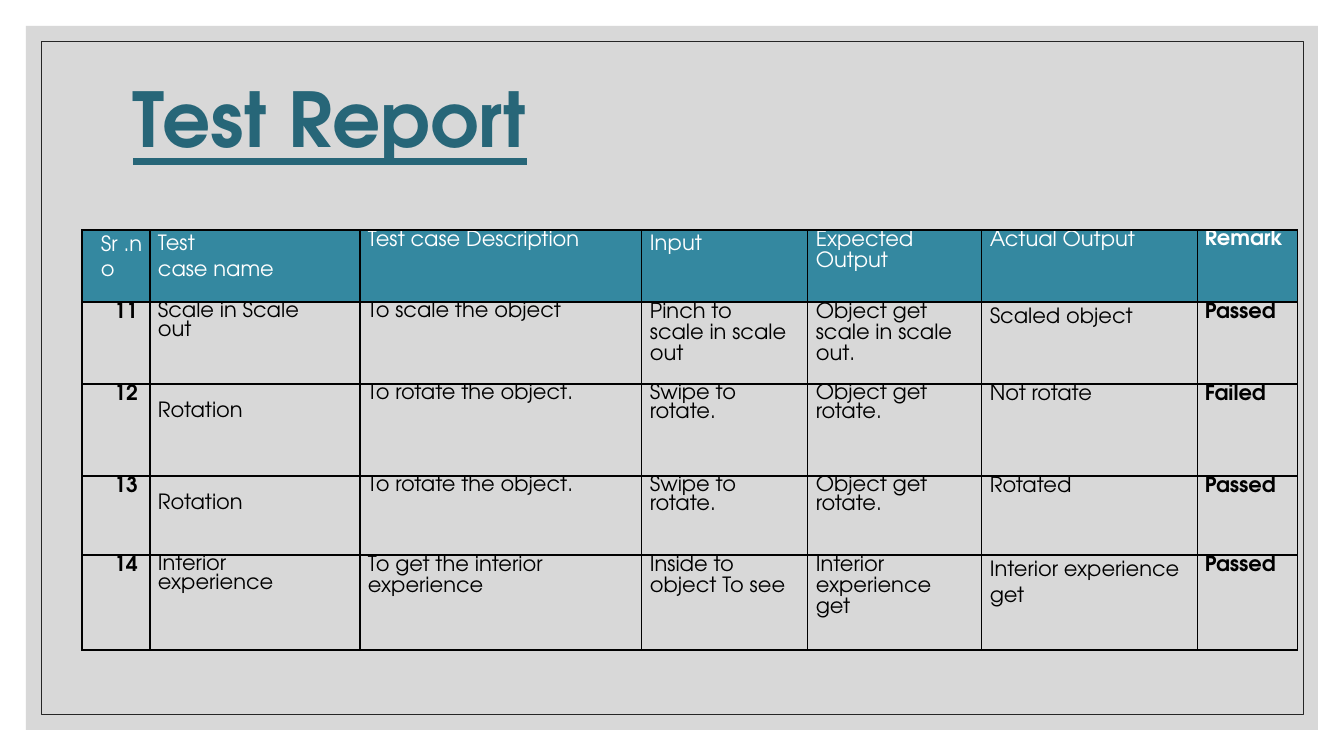
from lxml import etree
from pptx import Presentation
from pptx.dml.color import RGBColor
from pptx.enum.shapes import MSO_SHAPE
from pptx.enum.text import MSO_ANCHOR, PP_ALIGN
from pptx.oxml.ns import qn
from pptx.util import Pt

TITLE = "Test Report"
HEADERS = ["Sr .no", "Test\ncase name", "Test case Description", "Input",
           "Expected Output", "Actual Output", "Remark"]
TEST_CASES = [
    ["11", "Scale in Scale out", "To scale the object", "Pinch to scale in scale out",
     "Object get scale in scale out.", "Scaled object", "Passed"],
    ["12", "Rotation", "To rotate the object.", "Swipe to rotate.",
     "Object get rotate.", "Not rotate", "Failed"],
    ["13", "Rotation", "To rotate the object.", "Swipe to rotate.",
     "Object get rotate.", "Rotated", "Passed"],
    ["14", "Interior experience", "To get the interior experience",
     "Inside to object To see", "Interior experience get",
     "Interior experience get", "Passed"],
]
LINE_SPACINGS = [
    [Pt(18.1), Pt(17.6), 1.07, Pt(17.6), 1.07, 1.07, 0.97],
    [1.07, 0.98, 0.98, 1.07, 1.07, 1.33, 1.07],
    [1.07, Pt(13.4), 1.0, 1.0, 1.0, 1.07, 1.07],
    [1.07, Pt(13.4), 0.98, 0.98, 0.98, 1.07, 1.07],
    [1.07, 1.0, 1.07, 1.07, 1.07, 1.33, 1.07],
]
COLUMN_WIDTHS = [68, 210, 282, 166, 174, 216, 100]
ROW_HEIGHTS = [72, 82, 92, 79, 95]
LEFT_MARGINS = [19, 8, 8, 8, 8, 8, 7]
RIGHT_MARGINS = [12, 30, 0, 20, 20, 0, 0]
NUMBER_COLUMN, NAME_COLUMN, REMARK_COLUMN = 0, 1, 6
LOWERED_NAME = "Rotation"
LOWERED_MARGIN = 19

FONT = "TeX Gyre Adventor"
WHITE = RGBColor(0xFF, 0xFF, 0xFF)
BLACK = RGBColor(0x00, 0x00, 0x00)
PANEL_GREY = RGBColor(0xBF, 0xBF, 0xBF)
FRAME_GREY = RGBColor(0x26, 0x26, 0x26)
TITLE_TEAL = RGBColor(0x27, 0x66, 0x78)
HEADER_TEAL = RGBColor(0x34, 0x88, 0xA0)

RECTANGLE = MSO_SHAPE.RECTANGLE
MIDDLE, TOP = MSO_ANCHOR.MIDDLE, MSO_ANCHOR.TOP
LEFT, RIGHT = PP_ALIGN.LEFT, PP_ALIGN.RIGHT
PX = 914400 / 100.8


def px(length):
    return round(length * PX)


def write_text(text_frame, text, *, size, color, bold=False, underline=False,
               spacing=1.0, align=LEFT, space_before=0):
    """Write one paragraph per line; space_before applies from the second on."""
    text_frame.word_wrap = True
    for index, line in enumerate(text.split("\n")):
        paragraph = text_frame.add_paragraph() if index else text_frame.paragraphs[0]
        paragraph.alignment = align
        paragraph.line_spacing = spacing
        if index:
            paragraph.space_before = Pt(space_before)
        run = paragraph.add_run()
        run.text = line
        run.font.name = FONT
        run.font.size = Pt(size)
        run.font.bold = bold
        run.font.underline = underline
        run.font.color.rgb = color


def add_rectangle(slide, left, top, width, height):
    shape = slide.shapes.add_shape(RECTANGLE, px(left), px(top), px(width), px(height))
    shape.shadow.inherit = False
    return shape


def add_background(slide):
    panel = add_rectangle(slide, 26, 26, 1292, 704)
    panel.fill.solid()
    panel.fill.fore_color.rgb = PANEL_GREY
    color = panel.fill._xPr.find(qn("a:solidFill"))[0]
    etree.SubElement(color, qn("a:alpha")).set("val", "60000")
    panel.line.fill.background()

    frame = add_rectangle(slide, 41, 41, 1262, 673)
    frame.fill.background()
    frame.line.color.rgb = FRAME_GREY
    frame.line.width = Pt(0.5)


def add_borders(cell):
    properties = cell._tc.get_or_add_tcPr()
    for side in ("lnL", "lnR", "lnT", "lnB"):
        line = etree.SubElement(properties, qn(f"a:{side}"), w=str(Pt(1)))
        fill = etree.SubElement(line, qn("a:solidFill"))
        etree.SubElement(fill, qn("a:srgbClr"), val=str(BLACK))


def format_cell(cell, row, column, text):
    is_header = row == 0
    is_number = column == NUMBER_COLUMN and not is_header
    is_lowered = column == NAME_COLUMN and text == LOWERED_NAME
    cell.margin_left = 0 if is_number else px(LEFT_MARGINS[column])
    cell.margin_right = 0 if is_header else px(RIGHT_MARGINS[column])
    cell.margin_top = px(LOWERED_MARGIN) if is_lowered else 0
    cell.margin_bottom = 0
    cell.vertical_anchor = TOP
    add_borders(cell)
    if is_header:
        cell.fill.solid()
        cell.fill.fore_color.rgb = HEADER_TEAL
    else:
        cell.fill.background()
    write_text(cell.text_frame, text, size=15,
               color=WHITE if is_header else BLACK,
               bold=is_number or column == REMARK_COLUMN,
               spacing=LINE_SPACINGS[row][column],
               align=RIGHT if is_number else LEFT, space_before=0.6)


def add_report_table(slide):
    rows = [HEADERS] + TEST_CASES
    table = slide.shapes.add_table(
        len(rows), len(HEADERS), px(82), px(230),
        px(sum(COLUMN_WIDTHS)), px(sum(ROW_HEIGHTS))).table
    table.first_row = False
    table.horz_banding = False
    for column, width in zip(table.columns, COLUMN_WIDTHS):
        column.width = px(width)
    for row, height in zip(table.rows, ROW_HEIGHTS):
        row.height = px(height)
    for row, texts in enumerate(rows):
        for column, text in enumerate(texts):
            format_cell(table.cell(row, column), row, column, text)


def main():
    presentation = Presentation()
    presentation.slide_width = px(1344)
    presentation.slide_height = px(756)
    slide = presentation.slides.add_slide(presentation.slide_layouts[6])
    add_background(slide)
    title = slide.shapes.add_textbox(px(123), px(62), px(1109), px(122))
    title.text_frame.vertical_anchor = MIDDLE
    write_text(title.text_frame, TITLE, size=54, color=TITLE_TEAL,
               bold=True, underline=True, spacing=0.9)
    add_report_table(slide)
    presentation.save("out.pptx")


if __name__ == "__main__":
    main()
